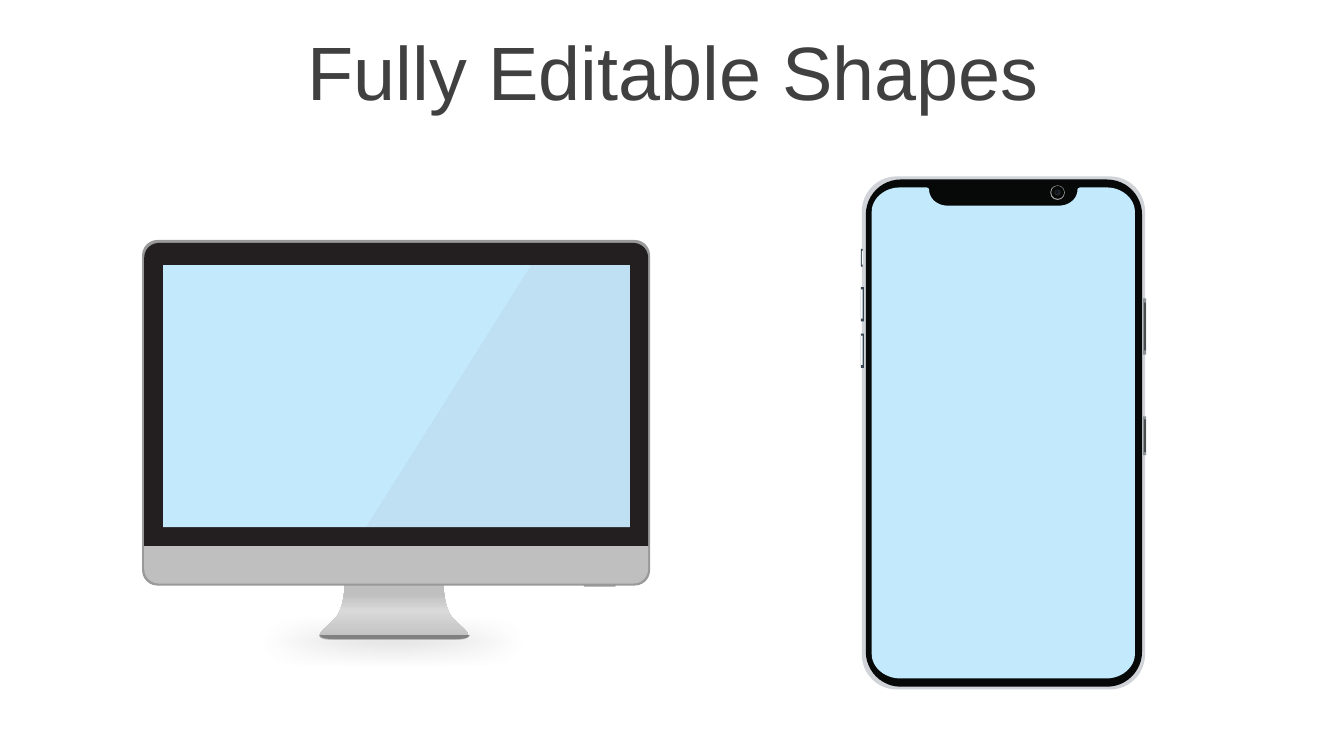
from dataclasses import dataclass

from lxml.etree import SubElement
from pptx import Presentation
from pptx.dml.color import RGBColor
from pptx.enum.shapes import MSO_SHAPE as Shape
from pptx.enum.text import MSO_ANCHOR as Anchor, MSO_AUTO_SIZE as AutoSize, PP_ALIGN as Align
from pptx.oxml.ns import qn
from pptx.util import Pt


@dataclass(frozen=True)
class Theme:
    font: str = "Arial"
    title_size: float = 54
    title: str = "404040"
    screen: str = "C3E9FD"
    frame: str = "D0D4D8"
    black: str = "070808"
    button: str = "364551"
    button_light: str = "FAFDFF"
    key: str = "8A9096"
    key_dark: str = "4A4C4D"
    lens_ring: str = "A6A6A6"
    lens: str = "262626"
    lens_core: str = "081422"
    case: str = "999999"
    panel: str = "231F20"
    chin: str = "BFBFBF"
    shine: str = "D9D9D9"
    shade: str = "808080"


def write(tf, text, *, font, size, color, align=Align.CENTER, spacing=0.9, before=10):
    p = tf.paragraphs[0]
    p.alignment, p.line_spacing, p.space_before = align, spacing, Pt(before)
    r = p.add_run()
    r.text = text
    r.font.name, r.font.size = font, Pt(size)
    r.font.color.rgb = RGBColor.from_string(color)


def bezier(start, c1, c2, end, steps=12):
    for i in range(1, steps + 1):
        t = i / steps
        yield tuple((1 - t) ** 3 * a + 3 * t * (1 - t) ** 2 * b + 3 * t * t * (1 - t) * c + t ** 3 * d
                    for a, b, c, d in zip(start, c1, c2, end))


class Canvas:
    def __init__(self, slide, theme):
        self.slide, self.theme = slide, theme

    def paint(self, s, color, alpha=None):
        s.shadow.inherit = False
        s.line.fill.background()
        s.fill.solid()
        s.fill.fore_color.rgb = RGBColor.from_string(color)
        if alpha is not None:
            rgb = s._element.spPr.find(".//" + qn("a:srgbClr"))
            SubElement(rgb, qn("a:alpha"), val=str(alpha * 1000))
        return s

    def title(self, text, x, y, w, h):
        sp, t = self.slide.shapes.title, self.theme
        sp.left, sp.top, sp.width, sp.height = map(Pt, (x, y, w, h))
        tf = sp.text_frame
        tf.word_wrap, tf.auto_size, tf.vertical_anchor = True, AutoSize.NONE, Anchor.MIDDLE
        write(tf, text, font=t.font, size=t.title_size, color=t.title)

    def shape(self, kind, x, y, w, h, color, radii=(), alpha=None):
        s = self.slide.shapes.add_shape(kind, *map(Pt, (x, y, w, h)))
        for i, radius in enumerate(radii):
            s.adjustments[i] = radius / min(w, h)
        return self.paint(s, color, alpha)

    def outline(self, steps, color, axis=None, alpha=None):
        """Steps are (x, y) lines or (x1, y1, x2, y2, x, y) curves; axis mirrors them."""
        points = [steps[0]]
        for step in steps[1:]:
            if len(step) == 2:
                points.append(step)
            else:
                points.extend(bezier(points[-1], step[:2], step[2:4], step[4:]))
        if axis is not None:
            points += [(2 * axis - x, y) for x, y in reversed(points)]
        start, *rest = [(Pt(x), Pt(y)) for x, y in points]
        builder = self.slide.shapes.build_freeform(*start)
        builder.add_line_segments(rest, close=True)
        return self.paint(builder.convert_to_shape(), color, alpha)

    def soften(self, s, radius):
        effects = s._element.spPr.find(qn("a:effectLst"))
        SubElement(effects, qn("a:softEdge"), rad=str(Pt(radius)))

    def gradient(self, s, stops, angle):
        s.fill.gradient()
        s.fill.gradient_angle = angle
        gs_list = s._element.spPr.find(".//" + qn("a:gsLst"))
        for gs in list(gs_list):
            gs_list.remove(gs)
        for pos, color in stops:
            gs = SubElement(gs_list, qn("a:gs"), pos=str(pos * 1000))
            SubElement(gs, qn("a:srgbClr"), val=color)


def draw_phone(c):
    t = c.theme
    # Body
    c.shape(Shape.ROUNDED_RECTANGLE, 615.6, 126, 202.3, 366.5, t.frame, [25])
    c.shape(Shape.ROUNDED_RECTANGLE, 618.5, 128.2, 197.3, 362.3, t.black, [25])
    # Screen with notch
    c.outline([(716.7, 146.9), (756.7, 146.9),
               (763.9, 146.9, 769.7, 141.8, 769.7, 135.4),
               (769.7, 134.6, 771.1, 133.9, 771.8, 133.9), (790.6, 133.9),
               (801.4, 133.9, 810.7, 141.8, 810.7, 151.2), (810.7, 467.3),
               (810.7, 476.6, 801.4, 484.6, 790.6, 484.6)], t.screen, axis=716.7)
    # Side buttons
    c.shape(Shape.RECTANGLE, 614.9, 177.8, 1.4, 12.6, t.button)
    c.shape(Shape.RECTANGLE, 615.6, 179.3, 0.7, 9.7, t.button_light)
    for y in (205.2, 238.3):
        c.shape(Shape.RECTANGLE, 614.9, y, 2.2, 24.5, t.button)
        c.shape(Shape.RECTANGLE, 614.9, y + 1.5, 1.4, 20.9, t.button_light)
    for y, h, inset in ((213.1, 40.3, 3), (297.4, 27.7, 2.2)):
        c.shape(Shape.RECTANGLE, 816.5, y, 2.2, h, t.key)
        c.shape(Shape.RECTANGLE, 817.2, y + inset, 1.4, h - 2 * inset, t.key_dark)
    # Camera
    for x, y, d, color in ((750.2, 132.4, 10.4, t.lens_ring), (750.9, 132.8, 9.2, t.black),
                           (753.2, 135.4, 4.4, t.lens), (753.9, 136.1, 2.2, t.lens_core)):
        c.shape(Shape.OVAL, x, y, d, d, color)


def draw_monitor(c):
    t = c.theme
    # Floor shadow
    c.soften(c.shape(Shape.OVAL, 82.1, 437.8, 397.4, 40.3, t.shade, alpha=60), 17.5)
    # Stand
    stand = c.outline([(281.5, 417.6), (316.8, 417.6),
                       (316.8, 417.6, 316.8, 434.9, 324, 442.1),
                       (331.9, 450, 344.2, 457.2, 323.3, 457.2)], t.chin, axis=281.5)
    c.gradient(stand, [(0, t.chin), (53, t.shine), (83, t.chin), (100, t.chin)], 90)
    # Case, port, panel, base and chin
    c.shape(Shape.ROUNDED_RECTANGLE, 101.5, 171.4, 362.9, 246.9, t.case, [11])
    c.shape(Shape.ROUND_2_SAME_RECTANGLE, 416.9, 416.9, 23, 2.2, t.case, [0, 1])
    c.shape(Shape.ROUND_2_SAME_RECTANGLE, 103, 173.5, 360, 216.7, t.panel, [10.5, 0])
    c.outline([(281.9, 453.6), (335.5, 453.6),
               (334.8, 455.8, 331.9, 456.5, 324, 456.5)], t.shade, axis=281.9)
    c.shape(Shape.ROUND_2_SAME_RECTANGLE, 103, 390.2, 360, 26.7, t.chin, [0, 10.5])
    # Screen and reflection
    c.shape(Shape.RECTANGLE, 116.6, 189.4, 333.4, 187.2, t.screen)
    c.outline([(379.4, 189.4), (450, 189.4), (450, 376.6), (261.4, 376.6)], t.case, alpha=10)


def main():
    prs = Presentation()
    prs.slide_width, prs.slide_height = Pt(960), Pt(540)
    c = Canvas(prs.slides.add_slide(prs.slide_layouts[5]), Theme())
    c.title("Fully Editable Shapes", 25.2, 25.9, 911.5, 56.9)
    draw_phone(c)
    draw_monitor(c)
    prs.save("out.pptx")


if __name__ == "__main__":
    main()
